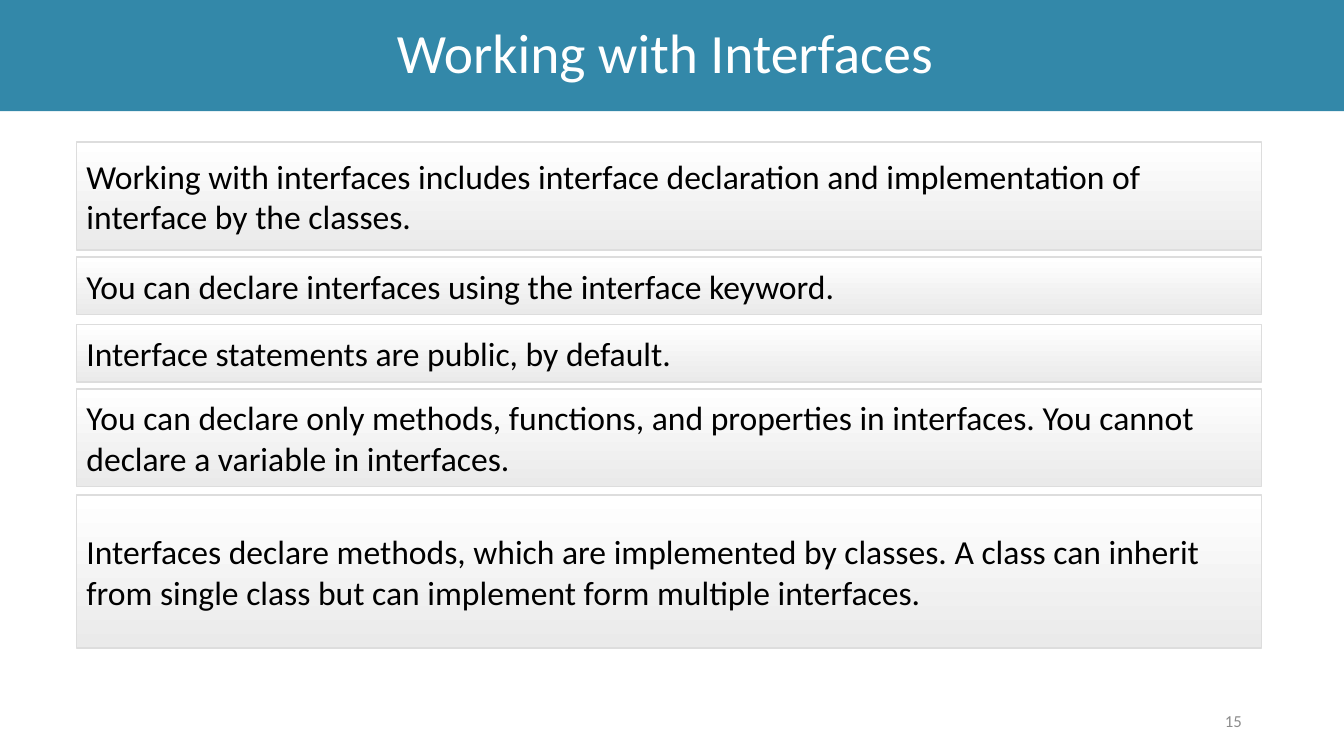
from pptx import Presentation
from pptx.dml.color import RGBColor
from pptx.enum.shapes import MSO_SHAPE
from pptx.enum.text import MSO_ANCHOR, MSO_AUTO_SIZE, PP_ALIGN
from pptx.util import Cm, Pt

WIDTH, HEIGHT = 33.87, 19.05
PANEL_LEFT, PANEL_WIDTH = 1.93, 29.87
PANELS = [
    (3.58, 2.72, "Working with interfaces includes interface declaration and "
                 "implementation of interface by the classes."),
    (6.48, 1.45, "You can declare interfaces using the interface keyword."),
    (8.18, 1.45, "Interface statements are public, by default."),
    (9.8, 2.46, "You can declare only methods, functions, and properties in interfaces. "
                "You cannot declare a variable in interfaces."),
    (12.47, 3.86, "Interfaces declare methods, which are implemented by classes. A class can "
                  "inherit from single class but can implement form multiple interfaces."),
]


def rgb(value):
    return RGBColor.from_string(value)


class SlideBuilder:
    font = "Calibri"
    banner = "3388A9"
    gradient = ("FFFFFF", "EAEAEA")
    border = "DDDDDD"

    def __init__(self, prs):
        self.slide = prs.slides.add_slide(prs.slide_layouts[5])

    def set_text(self, sp, text, size, color, align):
        tf = sp.text_frame
        tf.text = text
        tf.word_wrap = True
        tf.auto_size = MSO_AUTO_SIZE.NONE
        tf.vertical_anchor = MSO_ANCHOR.MIDDLE
        p = tf.paragraphs[0]
        p.alignment = align
        for r in p.runs:
            r.font.name = self.font
            r.font.size = Pt(size)
            r.font.color.rgb = rgb(color)
        return tf

    def title(self, text, height):
        sp = self.slide.shapes.title
        sp.left, sp.top, sp.width, sp.height = Cm(0), Cm(0), Cm(WIDTH), Cm(height)
        sp.fill.solid()
        sp.fill.fore_color.rgb = rgb(self.banner)
        tf = self.set_text(sp, text, 39.6, "FFFFFF", PP_ALIGN.CENTER)
        tf.paragraphs[0].line_spacing = 0.9
        tf.margin_right = Cm(0.6)

    def panel(self, top, height, text):
        sp = self.slide.shapes.add_shape(
            MSO_SHAPE.RECTANGLE, Cm(PANEL_LEFT), Cm(top), Cm(PANEL_WIDTH), Cm(height))
        sp.shadow.inherit = False
        sp.fill.gradient()
        sp.fill.gradient_angle = 270
        for stop, color in zip(sp.fill.gradient_stops, self.gradient):
            stop.color.rgb = rgb(color)
        sp.line.color.rgb = rgb(self.border)
        sp.line.width = Pt(1)
        self.set_text(sp, text, 24, "000000", PP_ALIGN.LEFT)

    def page_number(self, text):
        sp = self.slide.shapes.add_textbox(Cm(23.93), Cm(17.65), Cm(7.62), Cm(1.02))
        self.set_text(sp, text, 12, "8C8C8C", PP_ALIGN.RIGHT)


def main():
    prs = Presentation()
    prs.slide_width, prs.slide_height = Cm(WIDTH), Cm(HEIGHT)
    s = SlideBuilder(prs)
    s.title("Working with Interfaces", 2.8)
    s.page_number("15")
    for top, height, text in PANELS:
        s.panel(top, height, text)
    prs.save("out.pptx")


if __name__ == "__main__":
    main()
